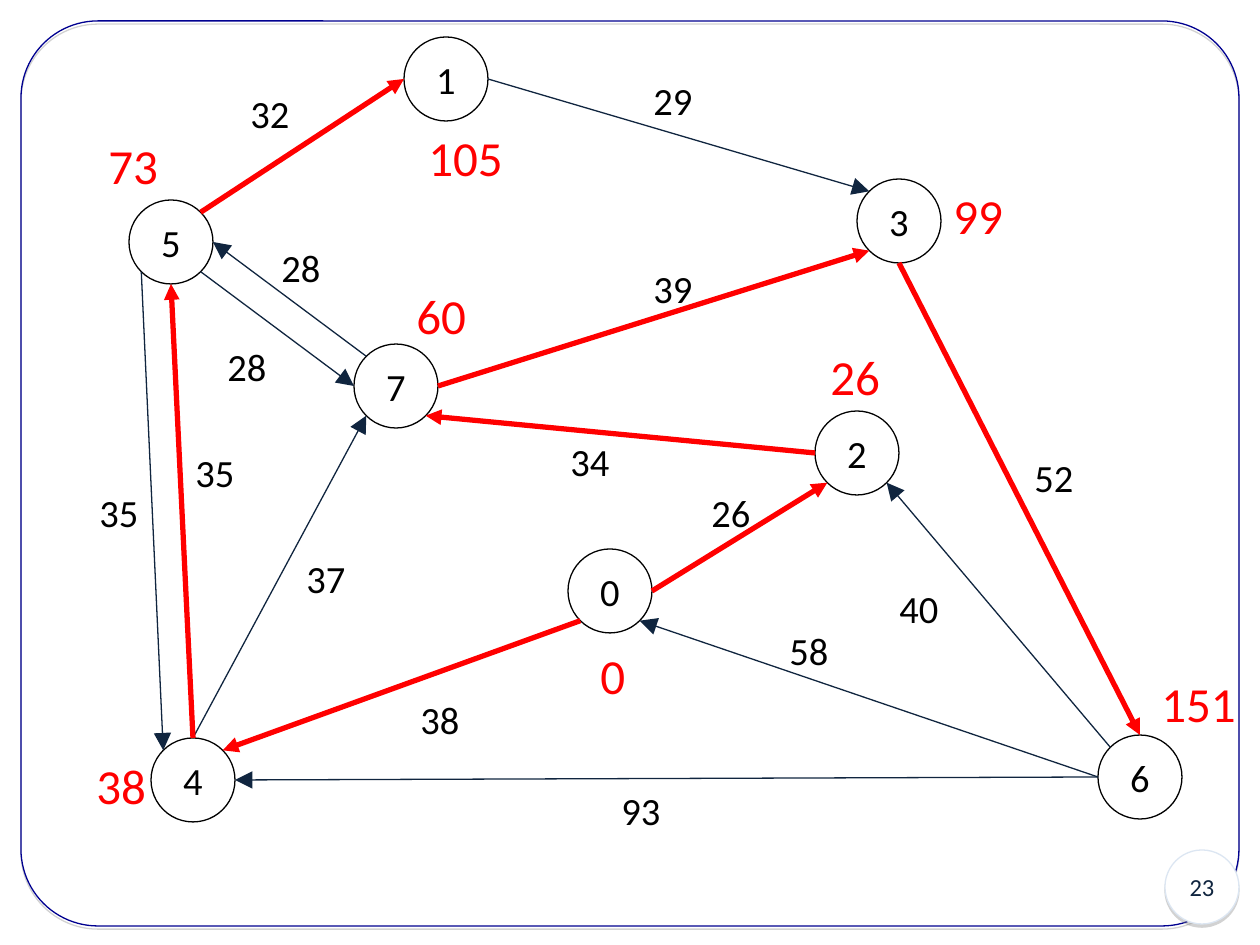
import math

from lxml import etree
from pptx import Presentation
from pptx.dml.color import RGBColor
from pptx.enum.shapes import MSO_CONNECTOR, MSO_SHAPE
from pptx.enum.text import MSO_ANCHOR, MSO_AUTO_SIZE, PP_ALIGN
from pptx.oxml.ns import qn
from pptx.util import Emu, Pt

OVAL, ROUNDED = MSO_SHAPE.OVAL, MSO_SHAPE.ROUNDED_RECTANGLE
STRAIGHT = MSO_CONNECTOR.STRAIGHT
MIDDLE, CENTER = MSO_ANCHOR.MIDDLE, PP_ALIGN.CENTER
GROW = MSO_AUTO_SIZE.SHAPE_TO_FIT_TEXT

BLACK = RGBColor(0x00, 0x00, 0x00)
WHITE = RGBColor(0xFF, 0xFF, 0xFF)
RED = RGBColor(0xFF, 0x00, 0x00)
NAVY = RGBColor(0x10, 0x25, 0x3F)
FRAME_BLUE = RGBColor(0x00, 0x00, 0x90)
PALE_BLUE = RGBColor(0xDC, 0xE6, 0xF2)

EMU_PER_PX = 914400 / 126
NODE_SIZE = 84
BLANK_LAYOUT = 6

# Connection sites of an ellipse, counter-clockwise in steps of 45 degrees
(TOP, TOP_LEFT, LEFT, BOTTOM_LEFT,
 BOTTOM, BOTTOM_RIGHT, RIGHT, TOP_RIGHT) = range(8)

# Vertex: left, top
VERTICES = {
    "0": (568, 549), "3": (857, 179), "4": (151, 738), "2": (815, 411),
    "5": (129, 200), "6": (1098, 735), "1": (404, 37), "7": (354, 344),
}

# From, site, to, site, on shortest-path tree, weight, label left, label top
EDGES = [
    ("6", LEFT, "4", RIGHT, False, "93", 609, 781),
    ("6", LEFT, "0", BOTTOM_RIGHT, False, "58", 777, 621),
    ("6", TOP_LEFT, "2", BOTTOM_RIGHT, False, "40", 887, 579),
    ("3", BOTTOM, "6", TOP, True, "52", 1022, 448),
    ("0", RIGHT, "2", BOTTOM_LEFT, True, "26", 699, 483),
    ("2", LEFT, "7", BOTTOM_RIGHT, True, "34", 558, 432),
    ("7", RIGHT, "3", BOTTOM_LEFT, True, "39", 641, 259),
    ("0", BOTTOM_LEFT, "4", TOP_RIGHT, True, "38", 408, 690),
    ("4", TOP, "7", BOTTOM_LEFT, False, "37", 294, 549),
    ("4", TOP, "5", BOTTOM, True, "35", 183, 443),
    ("5", BOTTOM_LEFT, "4", TOP_LEFT, False, "35", 87, 483),
    ("7", TOP_LEFT, "5", RIGHT, False, "28", 269, 238),
    ("5", BOTTOM_RIGHT, "7", LEFT, False, "28", 215, 337),
    ("5", TOP_RIGHT, "1", LEFT, True, "32", 238, 84),
    ("1", RIGHT, "3", TOP_LEFT, False, "29", 641, 71),
]

# Distance from the start vertex, left, top
DISTANCES = [
    ("0", 588, 639), ("99", 941, 179), ("105", 416, 121), ("73", 96, 129),
    ("60", 404, 279), ("26", 818, 340), ("151", 1149, 667), ("38", 84, 749),
]


def px(*lengths):
    return [Emu(round(length * EMU_PER_PX)) for length in lengths]


def write(frame, text, size, color):
    paragraph = frame.paragraphs[0]
    paragraph.text = text
    for name, value in {"name": "Calibri", "size": Pt(size)}.items():
        setattr(paragraph.font, name, value)
    paragraph.font.color.rgb = color
    return paragraph


def add_outline(slide, kind, box, line_color, fill=None):
    """Add a thin-lined shape without shadow; no fill colour leaves it open."""
    shape = slide.shapes.add_shape(kind, *px(*box))
    shape.shadow.inherit = False
    if fill is None:
        shape.fill.background()
    else:
        shape.fill.solid()
        shape.fill.fore_color.rgb = fill
    shape.line.color.rgb = line_color
    shape.line.width = Pt(0.75)
    return shape


def add_circle(slide, text, box, line_color, size, text_color, wrap):
    circle = add_outline(slide, OVAL, box, line_color, WHITE)
    frame = circle.text_frame
    frame.word_wrap = wrap
    frame.vertical_anchor = MIDDLE
    write(frame, text, size, text_color).alignment = CENTER
    return circle


def drop_shadow(shape):
    effects = shape.element.spPr.find(qn("a:effectLst"))
    shadow = etree.SubElement(effects, qn("a:outerShdw"), blurRad="0",
                              dist=str(Pt(1.8)), dir="5400000", rotWithShape="0")
    gray = etree.SubElement(shadow, qn("a:srgbClr"), val="808080")
    etree.SubElement(gray, qn("a:alpha"), val="35000")


def site_point(vertex, site):
    left, top = VERTICES[vertex]
    angle = math.radians(45 * site)
    radius = NODE_SIZE / 2
    return (left + radius - radius * math.sin(angle),
            top + radius - radius * math.cos(angle))


def add_edge(slide, circles, start, start_site, end, end_site, on_tree):
    """Add an arrow glued to the connection sites of two vertices."""
    edge = slide.shapes.add_connector(
        STRAIGHT, *px(*site_point(start, start_site), *site_point(end, end_site)))
    edge.line.color.rgb = RED if on_tree else NAVY
    edge.line.width = Pt(3 if on_tree else 0.75)
    head = "med" if on_tree else "lg"
    line = edge.element.spPr.find(qn("a:ln"))
    etree.SubElement(line, qn("a:tailEnd"), type="triangle", w=head, len=head)
    etree.SubElement(edge.element.spPr, qn("a:effectLst"))
    glue = edge.element.find(".//" + qn("p:cNvCxnSpPr"))
    for tag, vertex, site in (("a:stCxn", start, start_site), ("a:endCxn", end, end_site)):
        etree.SubElement(glue, qn(tag), id=str(circles[vertex].shape_id), idx=str(site))


def add_label(slide, text, box, size, color):
    frame = slide.shapes.add_textbox(*px(*box)).text_frame
    frame.word_wrap = False
    frame.auto_size = GROW
    write(frame, text, size, color)


def main():
    prs = Presentation()
    prs.slide_width, prs.slide_height = px(1260, 945)
    slide = prs.slides.add_slide(prs.slide_layouts[BLANK_LAYOUT])

    border = add_outline(slide, ROUNDED, (21, 21, 1218, 905), FRAME_BLUE)
    border.adjustments[0] = 0.085
    drop_shadow(border)
    drop_shadow(add_circle(slide, "23", (1165, 850, 74, 74), PALE_BLUE, 14, NAVY, True))

    circles = {
        vertex: add_circle(slide, vertex, (*corner, NODE_SIZE, NODE_SIZE),
                           BLACK, 22, BLACK, False)
        for vertex, corner in VERTICES.items()
    }
    for *ends, weight, left, top in EDGES:
        add_edge(slide, circles, *ends)
        add_label(slide, weight, (left, top, 64, 59), 22, BLACK)
    for distance, left, top in DISTANCES:
        width = 26 + 25 * len(distance)
        add_label(slide, distance, (left, top, width, 72), 28, RED)

    prs.save("out.pptx")


if __name__ == "__main__":
    main()
